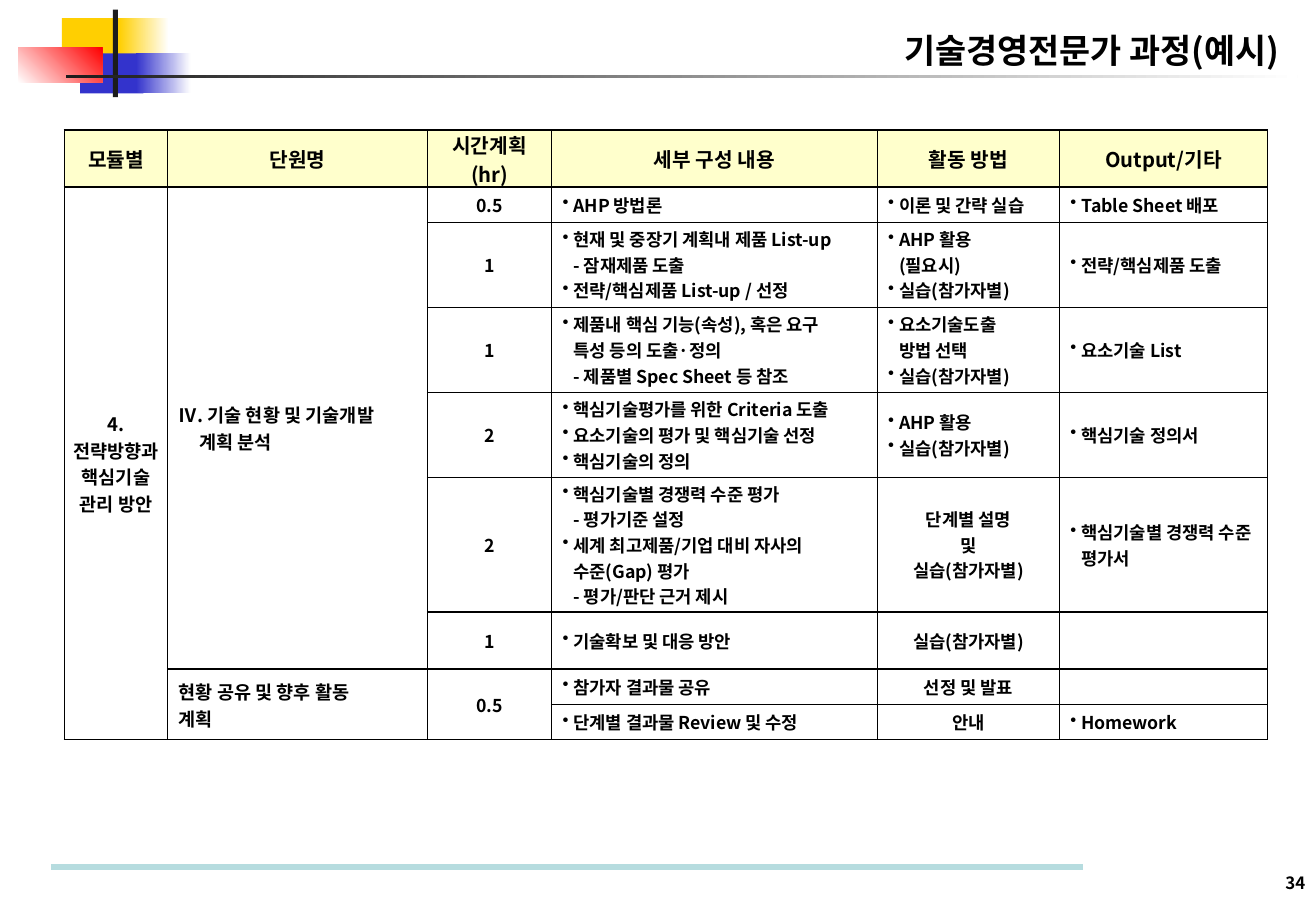
import copy
import pptx
import pptx.util
import pptx.dml.color
import pptx.enum.shapes
import pptx.enum.text
import pptx.oxml
import pptx.oxml.ns
import lxml.etree

Inches = pptx.util.Inches
ALIGN = pptx.enum.text.PP_ALIGN
MIDDLE = pptx.enum.text.MSO_ANCHOR.MIDDLE
FONT = "Noto Sans CJK KR"
qn = pptx.oxml.ns.qn


def rgb(value):
    return pptx.dml.color.RGBColor.from_string(value)


def write(frame, paragraphs, size=10.5, align=ALIGN.LEFT, bullet=False, hang=0):
    """Fill a text frame; a newline inside a paragraph is a line break."""
    for i, text in enumerate(paragraphs):
        para = frame.paragraphs[0] if i == 0 else frame.add_paragraph()
        para.text = text
        para.alignment = align
        props = para._p.get_or_add_pPr()
        props.set("marL", str(Inches(hang)))
        props.set("indent", str(-Inches(hang)))
        if bullet:
            lxml.etree.SubElement(props, qn("a:buChar")).set("char", "•")
        for run in para.runs:
            run.font.size = pptx.util.Pt(size)
            run.font.bold = True
            run.font.name = FONT
            run.font.color.rgb = rgb("000000")
            east_asian = lxml.etree.SubElement(run._r.rPr, qn("a:ea"))
            east_asian.set("typeface", FONT)
        for line_break in para._p.findall(qn("a:br")):
            line_break.insert(0, copy.deepcopy(para.runs[0]._r.rPr))
        if not text:
            para._p.get_or_add_endParaRPr().set("sz", str(int(size * 100)))


deck = pptx.Presentation()
deck.slide_width, deck.slide_height = Inches(10.83), Inches(7.5)
slide = deck.slides.add_slide(deck.slide_layouts[5])

# Corner ornament: left, top, width, height, colours, gradient angle
ornament = [
    (0.51, 0.15, 0.54, 0.33, ["FFCF01"], 0),
    (0.98, 0.15, 0.41, 0.33, ["FFCF01", "FFFFFF"], 0),
    (0.66, 0.44, 0.52, 0.33, ["3333CC"], 0),
    (1.12, 0.44, 0.45, 0.33, ["3333CC", "FFFFFF"], 0),
    (0.15, 0.39, 0.69, 0.29, ["FFFFFF", "FF0000"], 45),
    (0.93, 0.08, 0.04, 0.72, ["1C1C1C"], 0),
    (0.54, 0.62, 10.14, 0.02, ["1C1C1C", "FFFFFF"], 0),
]
for *box, colours, angle in ornament:
    block = slide.shapes.add_shape(
        pptx.enum.shapes.MSO_SHAPE.RECTANGLE, *map(Inches, box))
    block.shadow.inherit = False
    block.line.fill.background()
    if len(colours) == 1:
        block.fill.solid()
        block.fill.fore_color.rgb = rgb(colours[0])
    else:
        block.fill.gradient()
        block.fill.gradient_angle = angle
        for stop, colour in zip(block.fill.gradient_stops, colours):
            stop.color.rgb = rgb(colour)

# Footer rule
footer_rule = slide.shapes.add_connector(
    pptx.enum.shapes.MSO_CONNECTOR.STRAIGHT,
    Inches(0.42), Inches(7.14), Inches(8.91), Inches(7.14))
footer_rule.line.color.rgb = rgb("B6DCDF")
footer_rule.line.width = pptx.util.Pt(3.5)
lxml.etree.SubElement(footer_rule._element.spPr, qn("a:effectLst"))

# Title and page number
title = slide.shapes.title
title.left, title.top, title.width, title.height = map(Inches, (7.04, 0.19, 3.59, 0.44))
page_number = slide.shapes.add_textbox(*map(Inches, (10.45, 7.13, 0.39, 0.27)))
for part, text, size in [(title, "기술경영전문가 과정(예시)", 20), (page_number, "34", 10)]:
    part.text_frame.word_wrap = False
    part.text_frame.vertical_anchor = MIDDLE
    write(part.text_frame, [text], size, ALIGN.RIGHT)

# Course plan: each row holds six cells, each cell a list of paragraphs
headings = ["모듈별", "단원명", "시간계획\n(hr)", "세부 구성 내용", "활동 방법", "Output/기타"]
course_plan = [
    [[heading] for heading in headings],
    [["4.", "전략방향과 핵심기술 관리 방안"], ["Ⅳ. 기술 현황 및 기술개발\n계획 분석"], ["0.5"],
     ["AHP 방법론"], ["이론 및 간략 실습"], ["Table Sheet 배포"]],
    [[""], [""], ["1"],
     ["현재 및 중장기 계획내 제품 List-up\n- 잠재제품 도출", "전략/핵심제품 List-up / 선정"],
     ["AHP 활용\n(필요시)", "실습(참가자별)"], ["전략/핵심제품 도출"]],
    [[""], [""], ["1"],
     ["제품내 핵심 기능(속성), 혹은 요구\n특성 등의 도출·정의\n- 제품별 Spec Sheet 등 참조"],
     ["요소기술도출\n방법 선택", "실습(참가자별)"], ["요소기술 List"]],
    [[""], [""], ["2"],
     ["핵심기술평가를 위한 Criteria 도출", "요소기술의 평가 및 핵심기술 선정", "핵심기술의 정의"],
     ["AHP 활용", "실습(참가자별)"], ["핵심기술 정의서"]],
    [[""], [""], ["2"],
     ["핵심기술별 경쟁력 수준 평가\n- 평가기준 설정",
      "세계 최고제품/기업 대비 자사의\n수준(Gap) 평가\n- 평가/판단 근거 제시"],
     ["단계별 설명", "및", "실습(참가자별)"], ["핵심기술별 경쟁력 수준 평가서"]],
    [[""], [""], ["1"], ["기술확보 및 대응 방안"], ["실습(참가자별)"], [""]],
    [[""], ["현황 공유 및 향후 활동\n계획"], ["0.5"], ["참가자 결과물 공유"], ["선정 및 발표"], [""]],
    [[""], [""], [""], ["단계별 결과물 Review 및 수정"], ["안내"], ["Homework"]],
]
column_widths = [0.85, 2.14, 1.02, 2.68, 1.5, 1.71]
row_heights = [0.47, 0.29, 0.7, 0.7, 0.7, 1.11, 0.47, 0.29, 0.29]
plan = slide.shapes.add_table(
    len(row_heights), len(column_widths), Inches(0.53), Inches(1.07),
    Inches(sum(column_widths)), Inches(sum(row_heights))).table
for column, width in zip(plan.columns, column_widths):
    column.width = Inches(width)
for row, height in zip(plan.rows, row_heights):
    row.height = Inches(height)

for r, row in enumerate(course_plan):
    for c, paragraphs in enumerate(row):
        cell = plan.cell(r, c)
        header = r == 0
        cell.vertical_anchor = MIDDLE
        cell.margin_left = cell.margin_right = Inches(0.04 if header or c == 0 else 0.09)
        cell.margin_top = cell.margin_bottom = Inches(0 if header else 0.03)
        cell.fill.solid()
        cell.fill.fore_color.rgb = rgb("FFFFCC" if header else "FFFFFF")
        for position, side in enumerate(("a:lnL", "a:lnR", "a:lnT", "a:lnB")):
            border = pptx.oxml.parse_xml(
                f'<{side} xmlns:a="http://schemas.openxmlformats.org/drawingml/2006/main" '
                'w="12700"><a:solidFill><a:srgbClr val="000000"/></a:solidFill>'
                f'</{side}>')
            cell._tc.tcPr.insert(position, border)

        # Activities are bulleted only in the first four rows
        if header:
            style = dict(size=12, align=ALIGN.CENTER)
        elif c == 0:
            style = dict(size=11, align=ALIGN.CENTER)
        elif c == 1:
            style = dict(size=11, hang=0.17 if r == 1 else 0)
        elif c == 2 or (c == 4 and r > 4):
            style = dict(align=ALIGN.CENTER)
        else:
            style = dict(bullet=True, hang=0.09)
        write(cell.text_frame, paragraphs, **style)

# Merged cells: first row, last row, column
for first, last, c in [(1, 8, 0), (1, 6, 1), (7, 8, 1), (7, 8, 2)]:
    plan.cell(first, c).merge(plan.cell(last, c))

deck.save("out.pptx")
